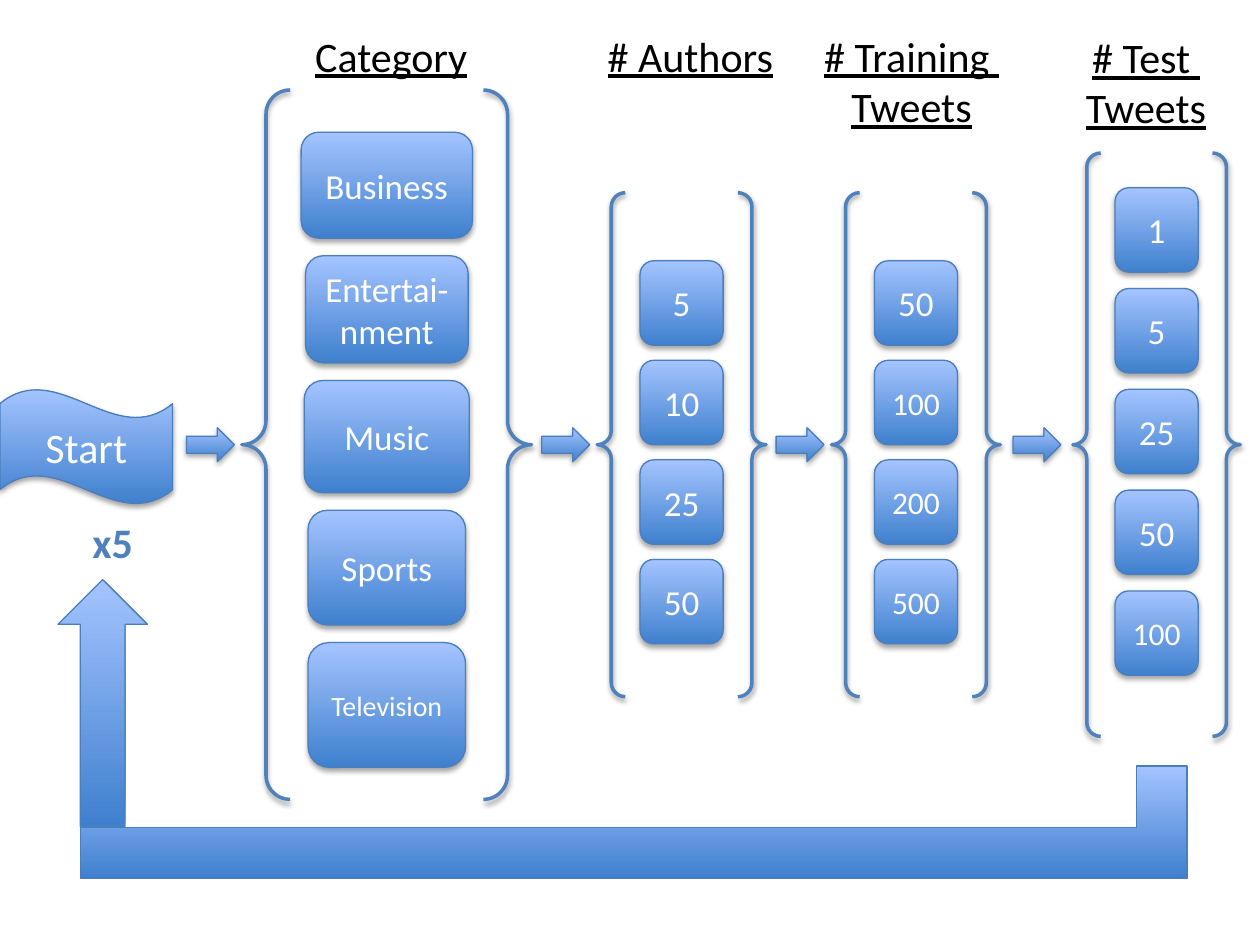
from lxml import etree
from pptx import Presentation
from pptx.dml.color import RGBColor
from pptx.enum.shapes import MSO_SHAPE
from pptx.enum.text import MSO_ANCHOR, MSO_AUTO_SIZE, PP_ALIGN
from pptx.oxml.ns import qn
from pptx.util import Inches, Pt

BOX = MSO_SHAPE.FLOWCHART_ALTERNATE_PROCESS
BRACES = MSO_SHAPE.DOUBLE_BRACE
WAVE = MSO_SHAPE.WAVE
RIGHT_ARROW = MSO_SHAPE.RIGHT_ARROW
UP_ARROW = MSO_SHAPE.UP_ARROW
CORNER = MSO_SHAPE.CORNER
CENTER = PP_ALIGN.CENTER
MIDDLE = MSO_ANCHOR.MIDDLE
FIT_SHAPE = MSO_AUTO_SIZE.SHAPE_TO_FIT_TEXT

THEME = {
    "font": "Calibri",
    "heading": 24, "label": 20, "number": 18, "small": 16,
    "black": "000000", "white": "FFFFFF", "accent": "4F81BD",
    "edge": "4B7EBC", "bottom": "3F80CE", "top": "A4C4FF", "outline": "054697",
}

# Content, in inches: each column has a centre, its braces, heading and boxes
NUMBER_SIZE = (0.66, 0.67)
COLUMNS = [
    {"center": 3.07, "braces": (2.3, 5.63), "arrow": 1.48,
     "heading": ["Category"], "heading_at": (2.33, 0.19, 1.55, 0.5),
     "top": 1.05, "gap": 0.14,
     "boxes": [("Business", "label", (1.36, 0.84)),
               ("Entertai-nment", "label", (1.29, 0.85)),
               ("Music", "label", (1.31, 0.89)),
               ("Sports", "label", (1.25, 0.91)),
               ("Television", "small", (1.25, 0.99))]},
    {"center": 5.41, "braces": (1.34, 4), "arrow": 4.3,
     "heading": ["# Authors"], "heading_at": (4.68, 0.19, 1.6, 0.5),
     "top": 2.07, "gap": 0.12,
     "boxes": [(text, "label", NUMBER_SIZE) for text in ("5", "10", "25", "50")]},
    {"center": 7.27, "braces": (1.34, 4), "arrow": 6.16,
     "heading": ["# Training ", "Tweets"], "heading_at": (6.28, 0.19, 1.91, 0.91),
     "top": 2.07, "gap": 0.12,
     "boxes": [("50", "label", NUMBER_SIZE)]
              + [(text, "number", NUMBER_SIZE) for text in ("100", "200", "500")]},
    {"center": 9.18, "braces": (1.33, 4.63), "arrow": 8.04,
     "heading": ["# Test ", "Tweets"], "heading_at": (8.19, 0.2, 1.81, 0.91),
     "top": 1.49, "gap": 0.13,
     "boxes": [(text, "label", NUMBER_SIZE) for text in ("1", "5", "25", "50")]
              + [("100", "number", NUMBER_SIZE)]},
]
MIDLINE = 3.53
ARROW_SIZE = (0.38, 0.27)


def color(name):
    return RGBColor.from_string(THEME[name])


def add_run(paragraph, text, size, color_name):
    paragraph.alignment = CENTER
    run = paragraph.add_run()
    run.text = text
    run.font.name = THEME["font"]
    run.font.size = Pt(THEME[size])
    run.font.color.rgb = color(color_name)
    return run


def add_shadow(shape, opacity, distance):
    effects = shape._element.spPr.find(qn("a:effectLst"))
    shadow = etree.SubElement(effects, qn("a:outerShdw"), blurRad=str(Pt(3.1)),
                              dist=str(Pt(distance)), dir="5400000", rotWithShape="0")
    tint = etree.SubElement(shadow, qn("a:srgbClr"), val=THEME["black"])
    etree.SubElement(tint, qn("a:alpha"), val=str(opacity * 1000))


def add_shape(slide, kind, at, line="edge", width=0.75):
    shape = slide.shapes.add_shape(kind, *map(Inches, at))
    shape.line.color.rgb = color(line)
    shape.line.width = Pt(width)
    shape.shadow.inherit = False
    return shape


def add_block(slide, kind, at, text="", size="label", shadow=True):
    shape = add_shape(slide, kind, at)
    shape.fill.gradient()
    shape.fill.gradient_angle = 90
    for stop, name in zip(shape.fill.gradient_stops, ("bottom", "top")):
        stop.color.rgb = color(name)
    if shadow:
        add_shadow(shape, 35, 1.8)
    if text:
        frame = shape.text_frame
        frame.word_wrap = True
        frame.vertical_anchor = MIDDLE
        add_run(frame.paragraphs[0], text, size, "white")
    return shape


def add_label(slide, at, lines, color_name, wrap=True):
    frame = slide.shapes.add_textbox(*map(Inches, at)).text_frame
    frame.word_wrap = wrap
    frame.auto_size = FIT_SHAPE
    runs = []
    for index, line in enumerate(lines):
        paragraph = frame.add_paragraph() if index else frame.paragraphs[0]
        runs.append(add_run(paragraph, line, "heading", color_name))
    return runs


def add_column(slide, column):
    # Boxes stacked on the column's centre
    top = column["top"]
    for text, size, (width, height) in column["boxes"]:
        left = column["center"] - width / 2
        add_block(slide, BOX, (left, top, width, height), text, size)
        top += height + column["gap"]

    # Heading, braces and the arrow leading in
    for run in add_label(slide, column["heading_at"], column["heading"], "black"):
        run.font.underline = True
    width, height = column["braces"]
    braces = add_shape(slide, BRACES, (column["center"] - width / 2,
                                       MIDLINE - height / 2, width, height), "accent", 2)
    braces.fill.background()
    add_shadow(braces, 38, 1.6)
    add_block(slide, RIGHT_ARROW,
              (column["arrow"], MIDLINE - ARROW_SIZE[1] / 2, *ARROW_SIZE))


def main():
    presentation = Presentation()
    presentation.slide_width, presentation.slide_height = Inches(10), Inches(7.5)
    slide = presentation.slides.add_slide(presentation.slide_layouts[6])

    for column in COLUMNS:
        add_column(slide, column)

    # Start banner
    add_block(slide, WAVE, (0, 3.09, 1.37, 0.91), "Start", "heading")

    # Return path from the last column to the start
    corner = add_block(slide, CORNER, (0.64, 6.08, 8.78, 0.89), shadow=False)
    corner.adjustments[0] = corner.adjustments[1] = 0.45
    corner._element.spPr.xfrm.set("flipH", "1")
    add_block(slide, UP_ARROW, (0.46, 4.6, 0.71, 1.96), shadow=False)

    # Repeat count
    repeat, = add_label(slide, (0.63, 4.05, 0.53, 0.5), ["x5"], "accent", wrap=False)
    repeat.font.bold = True
    outline = etree.Element(qn("a:ln"), w=str(Pt(1)))
    fill = etree.SubElement(outline, qn("a:solidFill"))
    etree.SubElement(fill, qn("a:srgbClr"), val=THEME["outline"])
    repeat._r.get_or_add_rPr().insert(0, outline)

    presentation.save("out.pptx")


if __name__ == "__main__":
    main()
